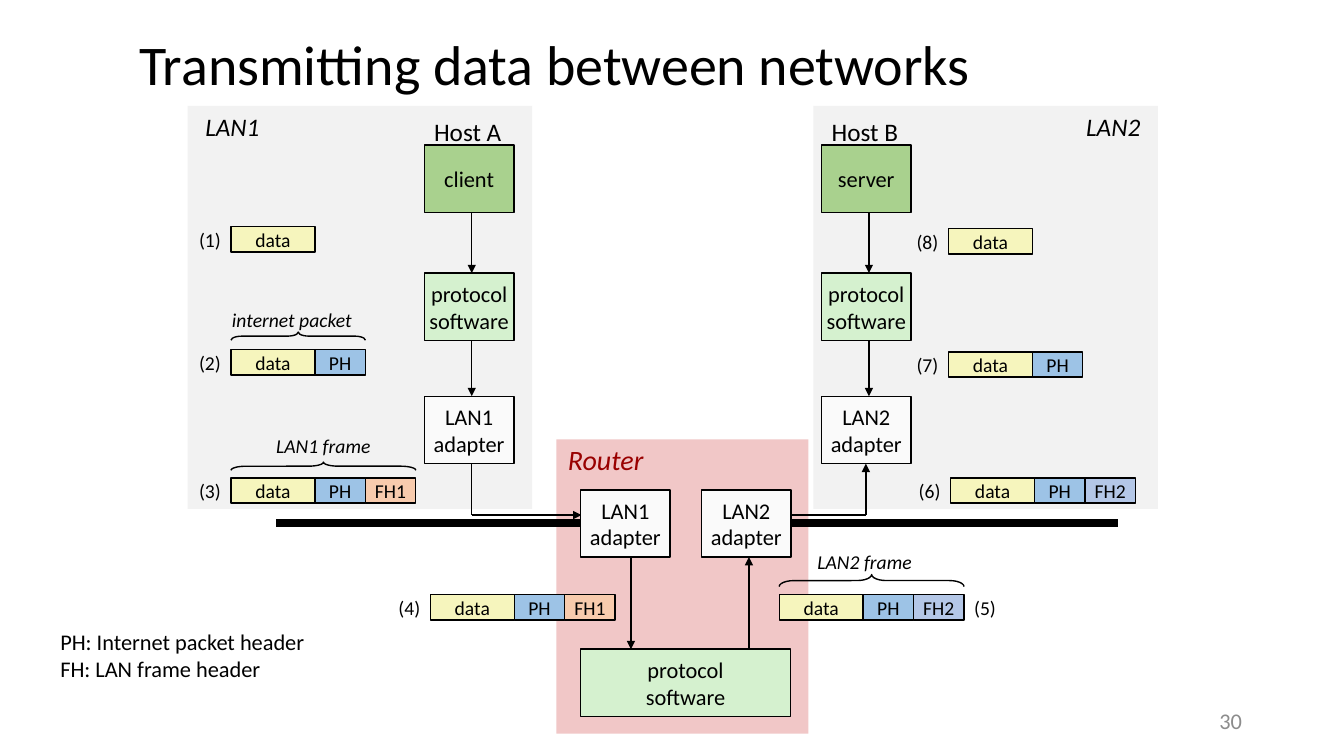
import dataclasses

import lxml.etree
import pptx
import pptx.dml.color
import pptx.enum.shapes
import pptx.enum.text
import pptx.oxml.ns
import pptx.util

Pt = pptx.util.Pt
SHAPES = pptx.enum.shapes.MSO_SHAPE
ALIGN = pptx.enum.text.PP_ALIGN
ANCHOR = pptx.enum.text.MSO_ANCHOR


@dataclasses.dataclass(frozen=True)
class Theme:
    """Colours, font and type sizes of the slide."""
    font: str = "Calibri"
    ink: str = "000000"
    muted: str = "8C8C8C"
    router_ink: str = "990000"
    lan: str = "F2F2F2"
    router: str = "F1C7C7"
    program: str = "A9D18E"
    protocol: str = "D5F1CF"
    adapter: str = "FAFAFA"
    data: str = "F6F5BD"
    packet_header: str = "9DC3E6"
    frame_header_1: str = "F8CBAD"
    frame_header_2: str = "B4C7E7"
    title_size: int = 40
    router_size: int = 20
    label_size: int = 18
    node_size: int = 16
    packet_size: int = 14


@dataclasses.dataclass(frozen=True)
class Caption:
    """Text and brace placed above a packet."""
    text: str
    shift: float
    brace_rise: float
    text_rise: float
    depth: float


THEME = Theme()
NODE_WIDTH, NODE_HEIGHT = 64, 48
DATA_WIDTH, HEADER_WIDTH, PACKET_HEIGHT = 60, 36, 18
NUMBER_GAP = 15
BUS_TOP, ROUTE_TOP = 373.7, 367.9
HEADER_FILLS = {"PH": THEME.packet_header, "FH1": THEME.frame_header_1,
                "FH2": THEME.frame_header_2}


def rgb(value):
    """Turn a hex string into a colour."""
    return pptx.dml.color.RGBColor.from_string(value)


def write(frame, lines, size, color=THEME.ink, italic=False, align=ALIGN.CENTER):
    """Write one paragraph per line into a text frame."""
    for index, line in enumerate(lines):
        paragraph = frame.paragraphs[0] if index == 0 else frame.add_paragraph()
        paragraph.alignment = align
        run = paragraph.add_run()
        run.text = line
        run.font.name = THEME.font
        run.font.size = Pt(size)
        run.font.italic = italic
        run.font.color.rgb = rgb(color)


def add_box(slide, left, top, width, height, fill, lines=(), size=THEME.node_size):
    """Draw a filled rectangle, outlined when it carries text."""
    shape = slide.shapes.add_shape(SHAPES.RECTANGLE, Pt(left), Pt(top), Pt(width), Pt(height))
    shape.shadow.inherit = False
    shape.fill.solid()
    shape.fill.fore_color.rgb = rgb(fill)
    if not lines:
        shape.line.fill.background()
        return
    shape.line.color.rgb = rgb(THEME.ink)
    shape.line.width = Pt(1)
    frame = shape.text_frame
    frame.word_wrap = False
    frame.vertical_anchor = ANCHOR.MIDDLE
    frame.margin_left = frame.margin_right = frame.margin_top = frame.margin_bottom = 0
    write(frame, lines, size)


def add_label(slide, center, middle, text, size, color=THEME.ink, italic=False):
    """Place a one-line label around a centre point."""
    width, height = 100, 2 * size
    shape = slide.shapes.add_textbox(Pt(center - width / 2), Pt(middle - height / 2),
                                     Pt(width), Pt(height))
    shape.text_frame.word_wrap = False
    shape.text_frame.vertical_anchor = ANCHOR.MIDDLE
    write(shape.text_frame, [text], size, color, italic)


def add_route(slide, points, weight=1, arrow=True):
    """Join points with straight lines, the last one with an arrowhead."""
    for start, end in zip(points, points[1:]):
        line = slide.shapes.add_connector(pptx.enum.shapes.MSO_CONNECTOR.STRAIGHT,
                                          *map(Pt, start + end))
        line.line.color.rgb = rgb(THEME.ink)
        line.line.width = Pt(weight)
        properties = line._element.spPr
        lxml.etree.SubElement(properties, pptx.oxml.ns.qn("a:effectLst"))
        if arrow and end == points[-1]:
            outline = line.line._get_or_add_ln()
            lxml.etree.SubElement(outline, pptx.oxml.ns.qn("a:tailEnd"), type="triangle")


def add_brace(slide, center, middle, span, depth):
    """Draw a horizontal brace that points upwards."""
    shape = slide.shapes.add_shape(SHAPES.LEFT_BRACE, Pt(center - depth / 2),
                                   Pt(middle - span / 2), Pt(depth), Pt(span))
    shape.rotation = 90
    shape.adjustments[0] = 0.08 * span / depth
    shape.shadow.inherit = False
    shape.fill.background()
    shape.line.color.rgb = rgb(THEME.ink)
    shape.line.width = Pt(1)


def add_packet(slide, left, top, number, headers=(), caption=None, number_after=False):
    """Draw a numbered packet with its headers and optional caption."""
    add_box(slide, left, top, DATA_WIDTH, PACKET_HEIGHT, THEME.data, ["data"], THEME.packet_size)
    for index, header in enumerate(headers):
        add_box(slide, left + DATA_WIDTH + index * HEADER_WIDTH, top, HEADER_WIDTH,
                PACKET_HEIGHT, HEADER_FILLS[header], [header], THEME.packet_size)
    width = DATA_WIDTH + len(headers) * HEADER_WIDTH
    number_center = left + width + NUMBER_GAP if number_after else left - NUMBER_GAP
    add_label(slide, number_center, top + PACKET_HEIGHT / 2, f"({number})", THEME.packet_size)
    if caption:
        center = left + width / 2
        add_brace(slide, center, top - caption.brace_rise, width, caption.depth)
        add_label(slide, center + caption.shift, top - caption.text_rise, caption.text,
                  THEME.packet_size, italic=True)


def add_lan(slide, left, top, name, name_offset, host, program, stack_offset):
    """Draw a LAN panel with its host stack."""
    add_box(slide, left, top, 246.2, 288, THEME.lan)
    add_label(slide, left + name_offset, top + 14.4, name, THEME.label_size, italic=True)
    stack = left + stack_offset
    add_label(slide, stack + NODE_WIDTH / 2 - 1, top + 18, host, THEME.label_size)
    nodes = [(28.1, THEME.program, [program]),
             (119.5, THEME.protocol, ["protocol", "software"]),
             (207.4, THEME.adapter, [name, "adapter"])]
    for offset, fill, lines in nodes:
        add_box(slide, stack, top + offset, NODE_WIDTH, NODE_HEIGHT, fill, lines)
    for (upper, *_), (lower, *_) in zip(nodes, nodes[1:]):
        add_route(slide, [(stack + 33.9, top + upper + NODE_HEIGHT), (stack + 33.9, top + lower)])


def add_router(slide, left, top):
    """Draw the router panel with the links that reach it."""
    add_box(slide, left, top, 180, 210.2, THEME.router)
    add_route(slide, [(197.3, BUS_TOP), (431.3, BUS_TOP)], 6, False)
    add_route(slide, [(564.5, BUS_TOP), (798.5, BUS_TOP)], 6, False)
    add_route(slide, [(337, 331.2), (337, ROUTE_TOP), (415.4, ROUTE_TOP)])
    add_route(slide, [(564.5, ROUTE_TOP), (618.5, ROUTE_TOP), (618.5, 331.2)])
    add_label(slide, left + 35.3, top + 14.4, "Router", THEME.router_size, THEME.router_ink, True)
    adapter_top, software_top = top + 36, top + 149.8
    for offset, name in ((17.3, "LAN1"), (103.7, "LAN2")):
        add_box(slide, left + offset, adapter_top, NODE_WIDTH, NODE_HEIGHT,
                THEME.adapter, [name, "adapter"])
    add_box(slide, left + 17.3, software_top, 150, NODE_HEIGHT, THEME.protocol,
            ["protocol", "software"])
    adapter_bottom = adapter_top + NODE_HEIGHT
    add_route(slide, [(left + 53.3, adapter_bottom), (left + 53.3, software_top)])
    add_route(slide, [(left + 137.6, software_top), (left + 137.6, adapter_bottom)])


def add_packets(slide):
    """Place the eight stages of the packet."""
    add_packet(slide, 165, 162, 1)
    add_packet(slide, 165, 249.8, 2, ["PH"], Caption("internet packet", -4.5, 9.7, 21.6, 5.8))
    add_packet(slide, 165, 341.3, 3, ["PH", "FH1"], Caption("LAN1 frame", 0, 8.3, 23.1, 5.8))
    add_packet(slide, 307.4, 424.8, 4, ["PH", "FH1"])
    add_packet(slide, 556.6, 424.8, 5, ["PH", "FH2"],
               Caption("LAN2 frame", -5, 10.1, 23.8, 8.6), True)
    add_packet(slide, 679, 341.3, 6, ["PH", "FH2"])
    add_packet(slide, 677.5, 251.3, 7, ["PH"])
    add_packet(slide, 677.5, 163.4, 8)


def add_title(slide, left, top, width, height):
    """Move and format the title placeholder."""
    title = slide.shapes.title
    title.left, title.top, title.width, title.height = map(Pt, (left, top, width, height))
    frame = title.text_frame
    frame.word_wrap = True
    frame.auto_size = pptx.enum.text.MSO_AUTO_SIZE.NONE
    frame.vertical_anchor = ANCHOR.MIDDLE
    write(frame, ["Transmitting data between networks"], THEME.title_size, align=ALIGN.LEFT)
    frame.paragraphs[0].line_spacing = 0.9


def add_notes_area(slide):
    """Place the legend and the slide number."""
    legend = slide.shapes.add_textbox(Pt(36), Pt(445), Pt(194.4), Pt(46))
    legend.text_frame.word_wrap = False
    write(legend.text_frame, ["PH: Internet packet header", "FH: LAN frame header"],
          THEME.node_size, align=ALIGN.LEFT)
    number = slide.shapes.add_textbox(Pt(678.2), Pt(500.4), Pt(216), Pt(28.8))
    number.text_frame.word_wrap = True
    number.text_frame.vertical_anchor = ANCHOR.MIDDLE
    write(number.text_frame, ["30"], THEME.node_size, THEME.muted, align=ALIGN.RIGHT)


def main():
    """Build the slide and save it."""
    presentation = pptx.Presentation()
    presentation.slide_width, presentation.slide_height = Pt(960), Pt(540)
    slide = presentation.slides.add_slide(presentation.slide_layouts[5])
    add_title(slide, 92.2, 5, 753, 86.4)
    add_lan(slide, 134, 75.6, "LAN1", 32, "Host A", "client", 169.1)
    add_lan(slide, 581, 75.6, "LAN2", 214.2, "Host B", "server", 5.8)
    add_router(slide, 397.4, 313.9)
    add_packets(slide)
    add_notes_area(slide)
    presentation.save("out.pptx")


if __name__ == "__main__":
    main()
